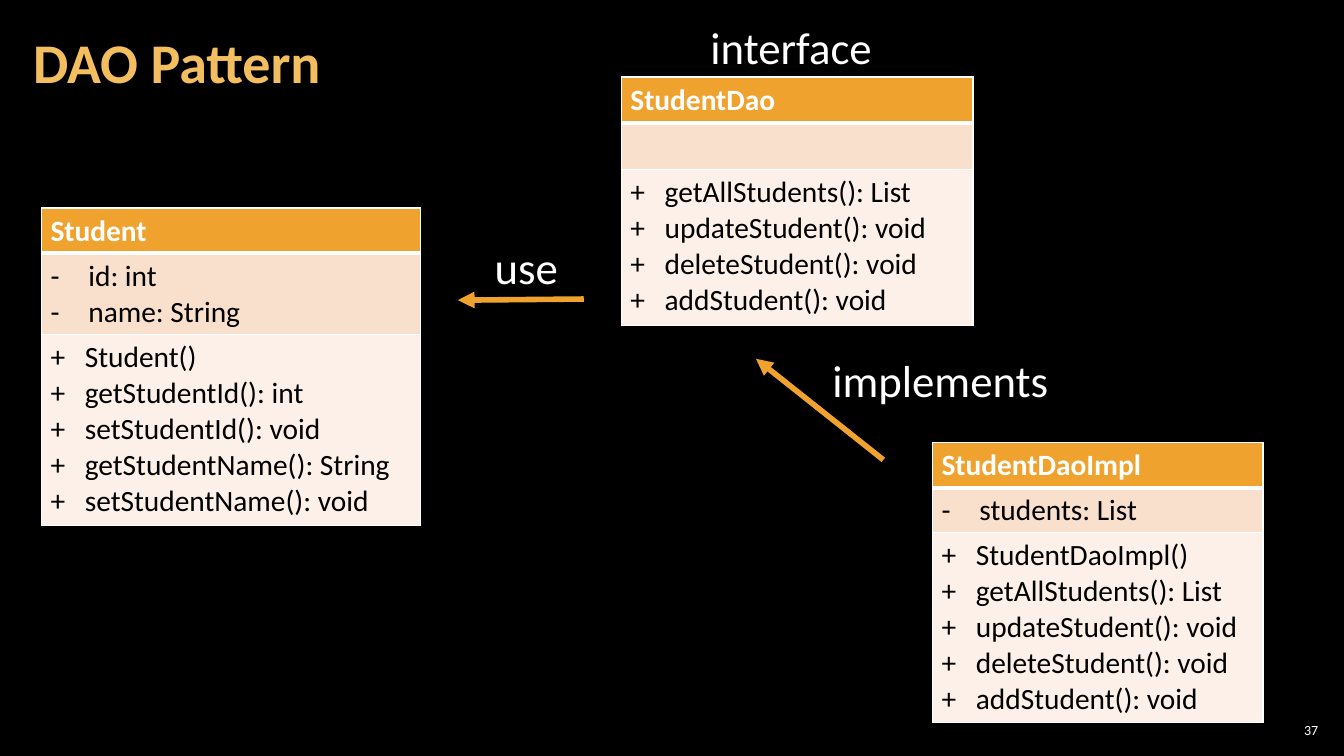
"""Builds the DAO Pattern class diagram slide."""
from lxml.etree import SubElement
from pptx import Presentation
from pptx.dml.color import RGBColor
from pptx.enum.shapes import MSO_CONNECTOR
from pptx.enum.text import MSO_ANCHOR, MSO_AUTO_SIZE, PP_ALIGN
from pptx.oxml.ns import qn
from pptx.util import Pt

BLACK = RGBColor(0x00, 0x00, 0x00)
WHITE = RGBColor(0xFF, 0xFF, 0xFF)
GOLD = RGBColor(0xF3, 0xBE, 0x60)
ORANGE = RGBColor(0xF0, 0xA2, 0x2E)
PEACH = RGBColor(0xF9, 0xE0, 0xCD)
CREAM = RGBColor(0xFC, 0xF0, 0xE8)
BULLET_INDENTS = {"-": 27, "+": 24.5}
DAO_METHODS = ["getAllStudents(): List", "updateStudent(): void",
               "deleteStudent(): void", "addStudent(): void"]


def write_text(frame, lines, size=21, color=WHITE, bold=False, bullet=None,
               align=PP_ALIGN.LEFT, spacing=None):
    """Fill a text frame with one formatted paragraph per line."""
    for index, line in enumerate(lines):
        paragraph = frame.add_paragraph() if index else frame.paragraphs[0]
        paragraph.text = line
        paragraph.alignment = align
        if spacing:
            paragraph.line_spacing = spacing
        if bullet:
            properties = paragraph._p.get_or_add_pPr()
            indent = Pt(BULLET_INDENTS[bullet])
            properties.set("marL", str(indent))
            properties.set("indent", str(-indent))
            SubElement(properties, qn("a:buFont"), typeface="Calibri")
            SubElement(properties, qn("a:buChar"), char=bullet)
        for run in paragraph.runs:
            run.font.name = "Calibri"
            run.font.size = Pt(size)
            run.font.bold = bold
            run.font.color.rgb = color


class DiagramSlide:
    """Holds the style and the current slide."""

    def __init__(self, presentation):
        """Add a title-only slide with a black background."""
        self.line_color = ORANGE
        self.slide = presentation.slides.add_slide(presentation.slide_layouts[5])
        self.slide.background.fill.solid()
        self.slide.background.fill.fore_color.rgb = BLACK

    def title(self, text, left, top, width, height):
        """Place and format the title placeholder."""
        shape = self.slide.shapes.title
        shape.left, shape.top = Pt(left), Pt(top)
        shape.width, shape.height = Pt(width), Pt(height)
        frame = shape.text_frame
        frame.auto_size = MSO_AUTO_SIZE.NONE
        frame.vertical_anchor = MSO_ANCHOR.MIDDLE
        frame.margin_left = frame.margin_right = Pt(8.64)
        frame.margin_top = frame.margin_bottom = Pt(3)
        write_text(frame, [text], size=40, color=GOLD, bold=True, spacing=0.9)

    def label(self, text, left, top, width, height=46, margin=None,
              anchor=MSO_ANCHOR.TOP, **text_format):
        """Add a text box."""
        shape = self.slide.shapes.add_textbox(Pt(left), Pt(top), Pt(width), Pt(height))
        frame = shape.text_frame
        frame.word_wrap = True
        frame.vertical_anchor = anchor
        if margin is not None:
            frame.margin_left = frame.margin_right = Pt(margin)
            frame.margin_top = frame.margin_bottom = Pt(margin)
        write_text(frame, [text], **text_format)

    def border(self, cell, top, bottom):
        """Draw white borders around a cell."""
        properties = cell._tc.get_or_add_tcPr()
        for side, width in (("L", 1), ("R", 1), ("T", top), ("B", bottom)):
            line = SubElement(properties, qn(f"a:ln{side}"), w=str(Pt(width)))
            fill = SubElement(line, qn("a:solidFill"))
            SubElement(fill, qn("a:srgbClr"), val=str(WHITE))

    def class_table(self, name, fields, methods, left, top, width, heights, margin=3.6):
        """Add a class box with name, field and method rows."""
        frame = self.slide.shapes.add_table(3, 1, Pt(left), Pt(top), Pt(width),
                                            Pt(sum(heights)))
        table = frame.table
        table.columns[0].width = Pt(width)
        rows = (([name], ORANGE, WHITE, None, 1, 3),
                (fields, PEACH, BLACK, "-", 3, 1),
                (methods, CREAM, BLACK, "+", 1, 1))
        for index, (lines, fill, color, bullet, above, below) in enumerate(rows):
            table.rows[index].height = Pt(heights[index])
            cell = table.cell(index, 0)
            cell.margin_left = cell.margin_right = Pt(6.6)
            cell.margin_top = cell.margin_bottom = Pt(margin)
            self.border(cell, above, below)
            cell.fill.solid()
            cell.fill.fore_color.rgb = fill
            write_text(cell.text_frame, lines, color=color, bold=bullet is None,
                       bullet=bullet)

    def arrow(self, start_x, start_y, end_x, end_y):
        """Add a straight line with a triangle at its end."""
        connector = self.slide.shapes.add_connector(
            MSO_CONNECTOR.STRAIGHT, Pt(start_x), Pt(start_y), Pt(end_x), Pt(end_y))
        connector.line.color.rgb = self.line_color
        connector.line.width = Pt(4)
        SubElement(connector.line._get_or_add_ln(), qn("a:tailEnd"), type="triangle")
        SubElement(connector._element.spPr, qn("a:effectLst"))


def main():
    """Build and save the slide."""
    presentation = Presentation()
    presentation.slide_width, presentation.slide_height = Pt(960), Pt(540)
    diagram = DiagramSlide(presentation)
    diagram.label("37", 910.8, 514, 33.8, 15, margin=3, anchor=MSO_ANCHOR.MIDDLE,
                  size=10, align=PP_ALIGN.RIGHT)
    diagram.title("DAO Pattern", 15, 3, 754, 87)
    diagram.class_table(
        "Student", ["id: int", "name: String"],
        ["Student()", "getStudentId(): int", "setStudentId(): void",
         "getStudentName(): String", "setStudentName(): void"],
        29.5, 148.5, 270.7, (32.4, 58.3, 136))
    diagram.class_table("StudentDao", [], DAO_METHODS,
                        443.7, 55, 251.3, (33, 33, 111.4))
    diagram.class_table("StudentDaoImpl", ["students: List"],
                        ["StudentDaoImpl()"] + DAO_METHODS,
                        666, 316.2, 236.2, (32.2, 32.2, 135.4), margin=3.2)
    diagram.arrow(417, 213.6, 327, 214.4)
    diagram.arrow(631, 328.5, 540, 256.3)
    for text, left, top, width in (("use", 346.3, 167.8, 84.2),
                                   ("implements", 587.5, 248.4, 216),
                                   ("interface", 500.4, 10.8, 147)):
        diagram.label(text, left, top, width, size=32)
    presentation.save("out.pptx")


if __name__ == "__main__":
    main()
